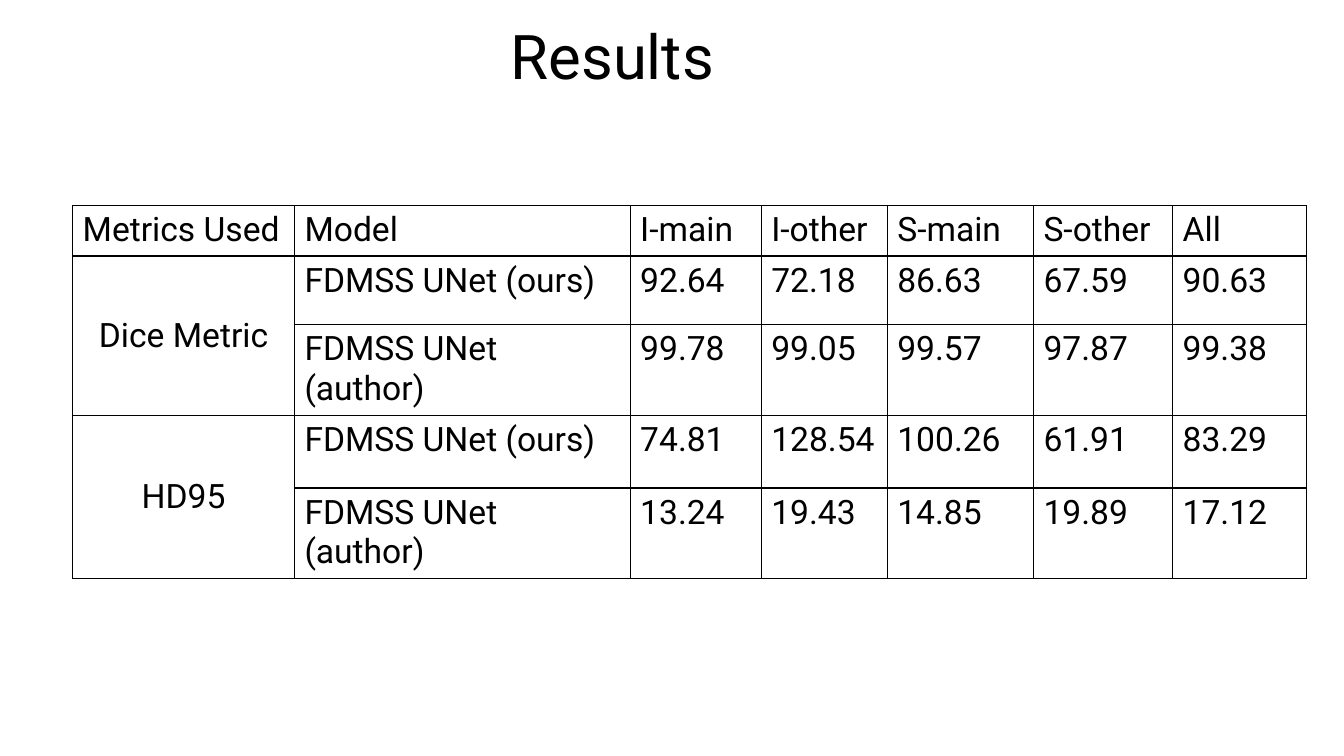
from lxml import etree
from pptx import Presentation
from pptx import util as u
from pptx.dml.color import RGBColor
from pptx.enum import text
from pptx.oxml import ns

PX = 9144  # 100 px to the inch


def px(n):
    return u.Emu(n * PX)


def rgb(value):
    return RGBColor.from_string(value)


class Deck:
    font = "Roboto"
    ink = "000000"

    def __init__(self, width, height):
        self.prs = Presentation()
        self.prs.slide_width, self.prs.slide_height = px(width), px(height)
        self.s = self.prs.slides.add_slide(self.prs.slide_layouts[6])

    def set_text(self, tf, words, size, centred=False):
        p = tf.paragraphs[0]
        p.text = words
        p.alignment = text.PP_ALIGN.CENTER if centred else text.PP_ALIGN.LEFT
        p.font.name, p.font.size, p.font.bold = self.font, u.Pt(size), False
        p.font.color.rgb = rgb(self.ink)
        return p

    def title(self, words, x, y, w, h, size):
        tf = self.s.shapes.add_textbox(px(x), px(y), px(w), px(h)).text_frame
        tf.word_wrap = True
        tf.vertical_anchor = text.MSO_ANCHOR.MIDDLE
        self.set_text(tf, words, size, centred=True).line_spacing = 0.9

    def border(self, cell, points):
        """Draw a solid line on all four sides of a cell."""
        tc_pr = cell._tc.get_or_add_tcPr()
        for i, side in enumerate("LRTB"):
            ln = etree.Element(ns.qn(f"a:ln{side}"), w=str(u.Pt(points)))
            fill = etree.SubElement(ln, ns.qn("a:solidFill"))
            etree.SubElement(fill, ns.qn("a:srgbClr"), val=self.ink)
            tc_pr.insert(i, ln)

    def table(self, rows, x, y, widths, heights, size):
        """Draw a table; None in a row joins that cell to the one above."""
        table = self.s.shapes.add_table(
            len(rows), len(widths), px(x), px(y), px(sum(widths)), px(sum(heights))).table
        table.horz_banding = table.first_row = False
        for column, width in zip(table.columns, widths):
            column.width = px(width)
        for row, height in zip(table.rows, heights):
            row.height = px(height)
        for i, row in enumerate(rows):
            for j, words in enumerate(row):
                cell = table.cell(i, j)
                cell.fill.background()
                self.border(cell, 1)
                if words is None:
                    above = table.cell(i - 1, j)
                    above.merge(cell)
                    above.vertical_anchor = text.MSO_ANCHOR.MIDDLE
                    above.text_frame.paragraphs[0].alignment = text.PP_ALIGN.CENTER
                else:
                    self.set_text(cell.text_frame, words, size)


OURS, AUTHOR = "FDMSS UNet (ours)", "FDMSS UNet (author)"
RESULTS = [
    ["Metrics Used", "Model", "I-main", "I-other", "S-main", "S-other", "All"],
    ["Dice Metric", OURS, "92.64", "72.18", "86.63", "67.59", "90.63"],
    [None, AUTHOR, "99.78", "99.05", "99.57", "97.87", "99.38"],
    ["HD95", OURS, "74.81", "128.54", "100.26", "61.91", "83.29"],
    [None, AUTHOR, "13.24", "19.43", "14.85", "19.89", "17.12"],
]


def main():
    deck = Deck(1333, 750)
    deck.title("Results ", 0, -13, 1230, 145, 44)
    deck.table(RESULTS, 72, 204, [220, 333, 130, 125, 145, 138, 133],
               [40, 68, 72, 72, 72], 24)
    deck.prs.save("out.pptx")


if __name__ == "__main__":
    main()
